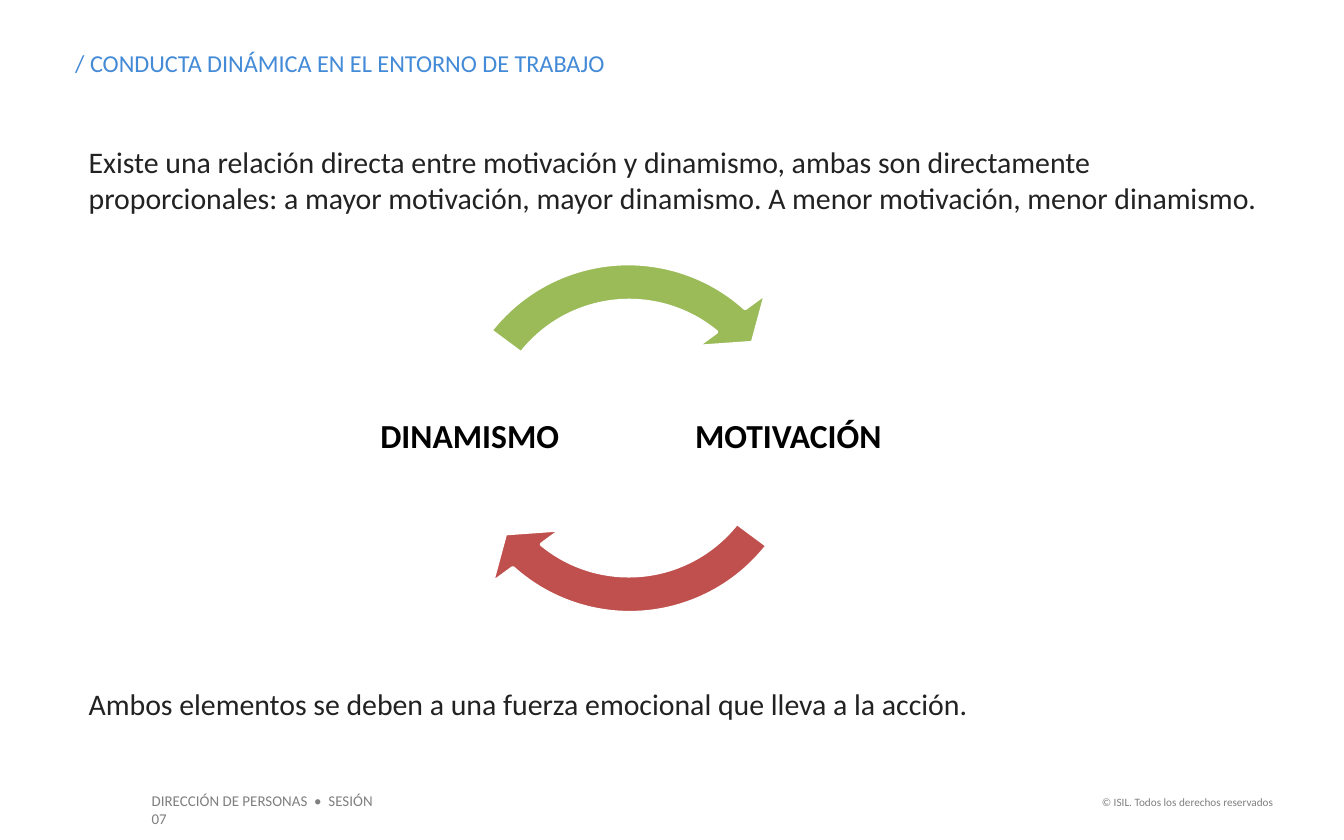
"""Build the slide on the cycle between motivation and dynamism."""
from typing import NamedTuple

from lxml import etree
from pptx import Presentation
from pptx.dml.color import RGBColor
from pptx.enum.text import MSO_ANCHOR, MSO_AUTO_SIZE, PP_ALIGN
from pptx.oxml.ns import qn
from pptx.util import Pt

PX = 9144
DEGREE = 60000
TOP, MIDDLE = MSO_ANCHOR.TOP, MSO_ANCHOR.MIDDLE
LEFT, CENTER, RIGHT = PP_ALIGN.LEFT, PP_ALIGN.CENTER, PP_ALIGN.RIGHT
NO_AUTOFIT = MSO_AUTO_SIZE.NONE
TWO_CONTENT = 3
COLORS = {
    "heading": "438AD7",
    "body": "222222",
    "label": "000000",
    "footer": "7F7F7F",
    "rise": "9BBB59",
    "return": "BF504D",
    "outline": "FFFFFF",
}
CYCLE_LEFT, CYCLE_TOP, CYCLE_SIZE = 319, 177, 298
TAIL = (-103, -80)
ARROWHEAD = [(102, -108), (92, -71), (50, -68), (65, -79)]


class Caption(NamedTuple):
    """Text with its place and format."""

    text: str
    box: tuple[int, int, int, int]
    size: int
    color: str
    align: PP_ALIGN = LEFT
    anchor: MSO_ANCHOR = TOP
    insets: tuple[int, int] = (10, 5)
    bold: bool = False
    spacing: float = 1.0


class Arc(NamedTuple):
    """Arc of a circle, in px and degrees."""

    radius: int
    start: float
    swing: float


class CycleArrow(NamedTuple):
    """Curved arrow, turned by half circles about the cycle center."""

    color: str
    half_turns: int


OUTER_EDGE, INNER_EDGE = Arc(130, 218, 94), Arc(102, 309.5, -91.5)
HEADING = Caption("/ CONDUCTA DINÁMICA EN EL ENTORNO DE TRABAJO",
                  (56, 36, 428, 22), 13, "heading", insets=(0, 0))
STATEMENTS = [
    Caption("Existe una relación directa entre motivación y dinamismo, ambas son "
            "directamente proporcionales: a mayor motivación, mayor dinamismo. "
            "A menor motivación, menor dinamismo.",
            (56, 102, 903, 64), 16, "body"),
    Caption("Ambos elementos se deben a una fuerza emocional que lleva a la acción.",
            (56, 505, 918, 37), 16, "body"),
]
FOOTERS = [
    Caption("DIRECCIÓN DE PERSONAS  •  SESIÓN 07", (103, 584, 198, 24), 8, "footer"),
    Caption("© ISIL. Todos los derechos reservados",
            (805, 587, 152, 20), 6, "footer", RIGHT),
]
LABELS = [
    Caption(word, (left, 253, 145, 145), 18, "label", CENTER, MIDDLE, (2, 2), True, 0.9)
    for word, left in (("MOTIVACIÓN", 514), ("DINAMISMO", 277))
]
ARROWS = [CycleArrow("return", 1), CycleArrow("rise", 0)]


def rgb(name: str) -> RGBColor:
    """Return the named color."""
    return RGBColor.from_string(COLORS[name])


def apply(target, values: dict) -> None:
    """Set each format value on the target."""
    for attribute, value in values.items():
        setattr(target, attribute, value)


def write_caption(shape, caption: Caption) -> None:
    """Place a text shape and fill it with the caption."""
    places = ("left", "top", "width", "height")
    apply(shape, {side: length * PX for side, length in zip(places, caption.box)})
    across, down = (inset * PX for inset in caption.insets)
    frame = shape.text_frame
    frame.text = caption.text
    apply(frame, {
        "word_wrap": True, "auto_size": NO_AUTOFIT, "vertical_anchor": caption.anchor,
        "margin_left": across, "margin_right": across,
        "margin_top": down, "margin_bottom": down,
    })
    paragraph = frame.paragraphs[0]
    if shape.is_placeholder:
        properties = paragraph._p.get_or_add_pPr()
        properties.set("marL", "0")
        properties.set("indent", "0")
        etree.SubElement(properties, qn("a:buNone"))
    apply(paragraph, {"alignment": caption.align, "line_spacing": caption.spacing,
                      "space_before": Pt(0)})
    apply(paragraph.font, {"name": "Calibri", "size": Pt(caption.size),
                           "bold": caption.bold})
    paragraph.font.color.rgb = rgb(caption.color)


def add_corner(outline, tag: str, corner: tuple[int, int], half_turns: int) -> None:
    """Move or draw a straight edge to a corner given from the cycle center."""
    sign = -1 if half_turns else 1
    x, y = (CYCLE_SIZE // 2 + sign * offset for offset in corner)
    etree.SubElement(etree.SubElement(outline, qn(tag)), qn("a:pt"), x=str(x), y=str(y))


def add_arc(outline, arc: Arc, half_turns: int) -> None:
    """Draw an arc from the current corner."""
    start = (arc.start + 180 * half_turns) % 360
    etree.SubElement(outline, qn("a:arcTo"), wR=str(arc.radius), hR=str(arc.radius),
                     stAng=str(int(start * DEGREE)), swAng=str(int(arc.swing * DEGREE)))


def draw_arrow(shapes, arrow: CycleArrow) -> None:
    """Draw one curved arrow within the square frame of the cycle."""
    builder = shapes.build_freeform(CYCLE_LEFT, CYCLE_TOP, scale=PX)
    builder.add_line_segments([(CYCLE_LEFT + CYCLE_SIZE, CYCLE_TOP + CYCLE_SIZE)])
    shape = builder.convert_to_shape()
    outline = shape._element.find(f".//{qn('a:path')}")
    for segment in list(outline):
        outline.remove(segment)
    add_corner(outline, "a:moveTo", TAIL, arrow.half_turns)
    add_arc(outline, OUTER_EDGE, arrow.half_turns)
    for corner in ARROWHEAD:
        add_corner(outline, "a:lnTo", corner, arrow.half_turns)
    add_arc(outline, INNER_EDGE, arrow.half_turns)
    etree.SubElement(outline, qn("a:close"))
    shape.shadow.inherit = False
    shape.fill.solid()
    shape.fill.fore_color.rgb = rgb(arrow.color)
    shape.line.color.rgb = rgb("outline")
    shape.line.width = Pt(2)


def main() -> None:
    """Build and save the slide."""
    deck = Presentation()
    apply(deck, {"slide_width": 1000 * PX, "slide_height": 625 * PX})
    slide = deck.slides.add_slide(deck.slide_layouts[TWO_CONTENT])
    for placeholder, caption in zip(slide.placeholders, [HEADING, *STATEMENTS]):
        write_caption(placeholder, caption)
    for caption in FOOTERS + LABELS:
        write_caption(slide.shapes.add_textbox(0, 0, PX, PX), caption)
    for arrow in ARROWS:
        draw_arrow(slide.shapes, arrow)
    deck.save("out.pptx")


if __name__ == "__main__":
    main()
